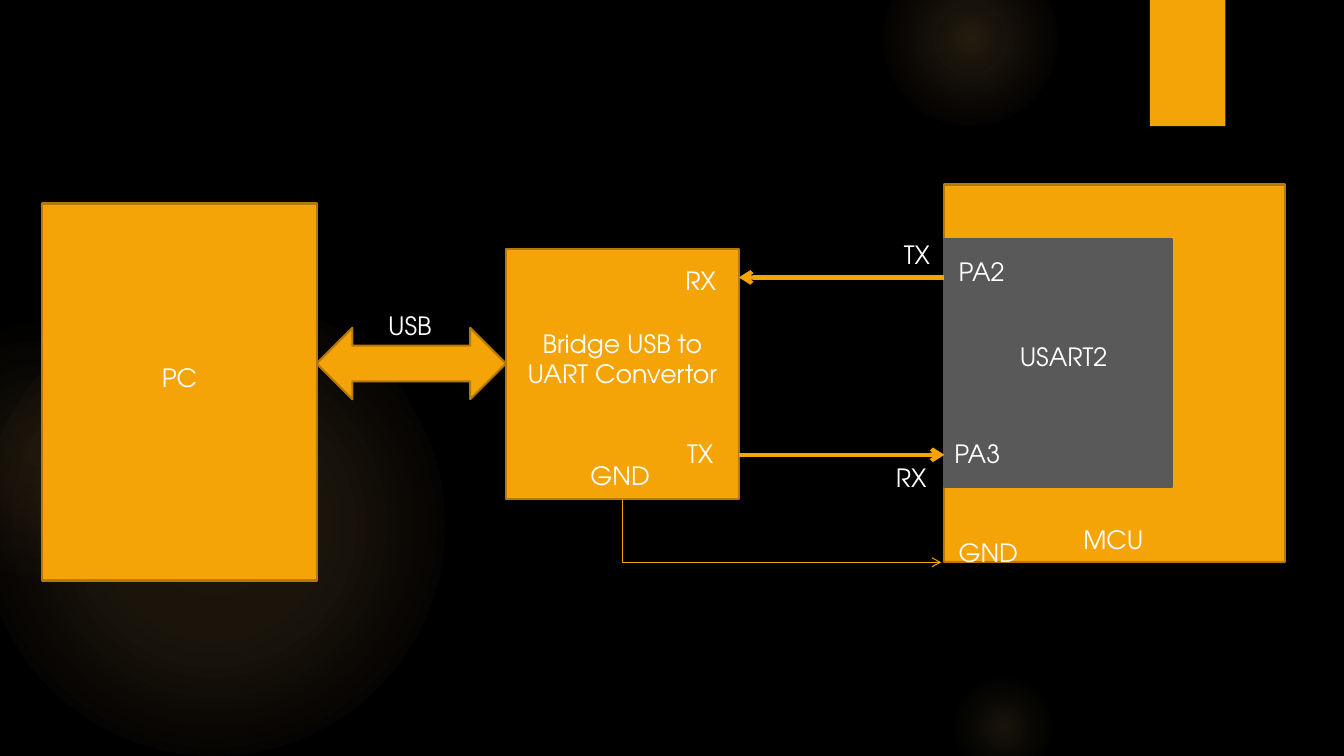
from collections import namedtuple
from dataclasses import dataclass

from lxml import etree
from pptx import Presentation
from pptx.dml.color import RGBColor
from pptx.enum import shapes, text
from pptx.oxml import ns
from pptx.util import Cm, Pt

Box = namedtuple("Box", "x y w h")


@dataclass(frozen=True)
class Theme:
    background: str = "000000"
    accent: str = "F5A408"
    edge: str = "B57906"
    peripheral: str = "595959"
    glow: str = "FAC96A"
    ember: str = "F59B74"
    ink: str = "FFFFFF"
    font: str = "TeX Gyre Adventor"
    size: float = 18
    border: float = 1.5
    signal: float = 3
    ground: float = 0.75


THEME = Theme()
SHAPE = shapes.MSO_SHAPE
LABEL_H = 1.14
PAD_X, PAD_Y = 0.33, 0.18


def rgb(value):
    return RGBColor.from_string(value)


def write(shape, words, align=text.PP_ALIGN.LEFT, anchor=text.MSO_ANCHOR.TOP,
          wrap=True, bottom=PAD_Y):
    tf = shape.text_frame
    tf.word_wrap = wrap
    tf.vertical_anchor = anchor
    tf.margin_left = tf.margin_right = Cm(PAD_X)
    tf.margin_top, tf.margin_bottom = Cm(PAD_Y), Cm(bottom)
    p = tf.paragraphs[0]
    p.alignment = align
    r = p.add_run()
    r.text = words
    r.font.name, r.font.size = THEME.font, Pt(THEME.size)
    r.font.color.rgb = rgb(THEME.ink)


def add_label(s, words, x, y, w):
    tb = s.shapes.add_textbox(Cm(x), Cm(y), Cm(w), Cm(LABEL_H))
    write(tb, words, wrap=False)
    tb.text_frame.auto_size = text.MSO_AUTO_SIZE.SHAPE_TO_FIT_TEXT


def add_labels(s, box, labels):
    """Place (words, dx, dy, width) labels relative to the box's corner."""
    for words, dx, dy, w in labels:
        add_label(s, words, box.x + dx, box.y + dy, w)


def add_block(s, box, kind=SHAPE.RECTANGLE, fill=THEME.accent, line=THEME.edge):
    sp = s.shapes.add_shape(kind, *map(Cm, box))
    sp.shadow.inherit = False
    sp.fill.solid()
    sp.fill.fore_color.rgb = rgb(fill)
    if line:
        sp.line.color.rgb = rgb(line)
        sp.line.width = Pt(THEME.border)
    else:
        sp.line.fill.background()
    return sp


def add_titled_block(s, box, words):
    """Block whose centred text sits half a line above the middle."""
    sp = add_block(s, box)
    write(sp, words, text.PP_ALIGN.CENTER, text.MSO_ANCHOR.MIDDLE,
          bottom=PAD_Y + 0.76)


def add_arrow(s, x1, y1, x2, y2, width, kind=shapes.MSO_CONNECTOR.STRAIGHT):
    c = s.shapes.add_connector(kind, *map(Cm, (x1, y1, x2, y2)))
    c.line.color.rgb = rgb(THEME.accent)
    c.line.width = Pt(width)
    etree.SubElement(c.line._get_or_add_ln(), ns.qn("a:tailEnd"), type="arrow")
    etree.SubElement(c._element.spPr, ns.qn("a:effectLst"))
    return c


def add_down_right_arrow(s, x1, y1, x2, y2):
    """One-bend arrow: a mirrored connector turned by 270 degrees."""
    cx, cy = (x1 + x2) / 2, (y1 + y2) / 2
    half_w, half_h = (y2 - y1) / 2, (x2 - x1) / 2
    c = add_arrow(s, cx + half_w, cy - half_h, cx - half_w, cy + half_h,
                  THEME.ground, shapes.MSO_CONNECTOR.ELBOW)
    spPr = c._element.spPr
    spPr.find(ns.qn("a:xfrm")).set("rot", str(270 * 60000))
    spPr.find(ns.qn("a:prstGeom")).set("prst", "bentConnector2")


def add_glow(s, box, stops):
    """Circle fading outwards; stops are (position %, colour, opacity %)."""
    sp = add_block(s, box, SHAPE.OVAL, line=None)
    spPr = sp._element.spPr
    solid = spPr.find(ns.qn("a:solidFill"))
    grad = etree.Element(ns.qn("a:gradFill"), rotWithShape="1")
    stop_list = etree.SubElement(grad, ns.qn("a:gsLst"))
    for position, colour, opacity in stops:
        gs = etree.SubElement(stop_list, ns.qn("a:gs"), pos=str(position * 1000))
        clr = etree.SubElement(gs, ns.qn("a:srgbClr"), val=colour)
        etree.SubElement(clr, ns.qn("a:alpha"), val=str(opacity * 1000))
    circle = etree.SubElement(grad, ns.qn("a:path"), path="circle")
    etree.SubElement(circle, ns.qn("a:fillToRect"),
                     dict.fromkeys("ltrb", "50000"))
    spPr.replace(solid, grad)


def draw_backdrop(s):
    s.background.fill.solid()
    s.background.fill.fore_color.rgb = rgb(THEME.background)
    glow, ember = THEME.glow, THEME.ember
    for x, y, d, inner, middle, reach, rim in (
            (-0.43, 7.42, 11.63, 11, (36, 10), 75, glow),
            (-2.34, 8.05, 6.55, 8, (36, 5), 71, ember),
            (23.9, 4.65, 7.82, 7, (36, 6), 69, glow),
            (22.23, -1.27, 4.45, 14, (36, 7), 73, glow),
            (23.9, 16.94, 2.74, 10, (31, 5), 66, glow)):
        add_glow(s, Box(x, y, d, d), (
            (0, glow, inner), (middle[0], glow, middle[1]), (reach, rim, 0)))
    add_block(s, Box(28.98, 0, 1.9, 3.18), line=None)


def draw_converter(s, box):
    add_titled_block(s, box, "Bridge USB to UART Convertor")
    add_labels(s, box, (("RX", 4.19, 0.23, 1.5), ("TX", 4.24, 4.6, 1.37),
                        ("GND", 1.8, 5.16, 2.26)))


def draw_mcu(s, box):
    add_block(s, box)
    add_block(s, Box(box.x, box.y + 1.37, 5.74, 6.25),
              fill=THEME.peripheral, line=THEME.peripheral)
    add_labels(s, box, (("USART2", 1.57, 3.76, 2.9), ("PA2", 0.03, 1.62, 1.93),
                        ("PA3", -0.08, 6.22, 1.93), ("MCU", 3.17, 8.38, 2.26),
                        ("GND", 0.03, 8.71, 2.26)))


def draw_usb_link(s, box):
    add_block(s, box, SHAPE.LEFT_RIGHT_ARROW)
    add_labels(s, box, (("USB", 1.47, -0.61, 1.83),))


def draw_serial_links(s, converter, mcu):
    left, right = converter.x + converter.w, mcu.x
    tx_y, rx_y = mcu.y + 2.34, mcu.y + 6.81
    add_arrow(s, right, tx_y, left, tx_y, THEME.signal)
    add_arrow(s, left, rx_y, right, rx_y, THEME.signal)
    add_labels(s, mcu, (("TX", -1.35, 1.19, 1.37), ("RX", -1.55, 6.81, 1.5)))
    add_down_right_arrow(s, converter.x + converter.w / 2,
                         converter.y + converter.h,
                         mcu.x - 0.08, mcu.y + mcu.h)


def main():
    prs = Presentation()
    prs.slide_width, prs.slide_height = Cm(33.87), Cm(19.05)
    s = prs.slides.add_slide(prs.slide_layouts[6])
    pc = Box(1.07, 5.13, 6.91, 9.5)
    converter = Box(12.75, 6.27, 5.87, 6.3)
    mcu = Box(23.8, 4.65, 8.59, 9.52)
    pc_right = pc.x + pc.w
    draw_backdrop(s)
    add_titled_block(s, pc, "PC")
    draw_converter(s, converter)
    draw_mcu(s, mcu)
    draw_usb_link(s, Box(pc_right, 8.26, converter.x - pc_right, 1.8))
    draw_serial_links(s, converter, mcu)
    prs.save("out.pptx")


if __name__ == "__main__":
    main()
